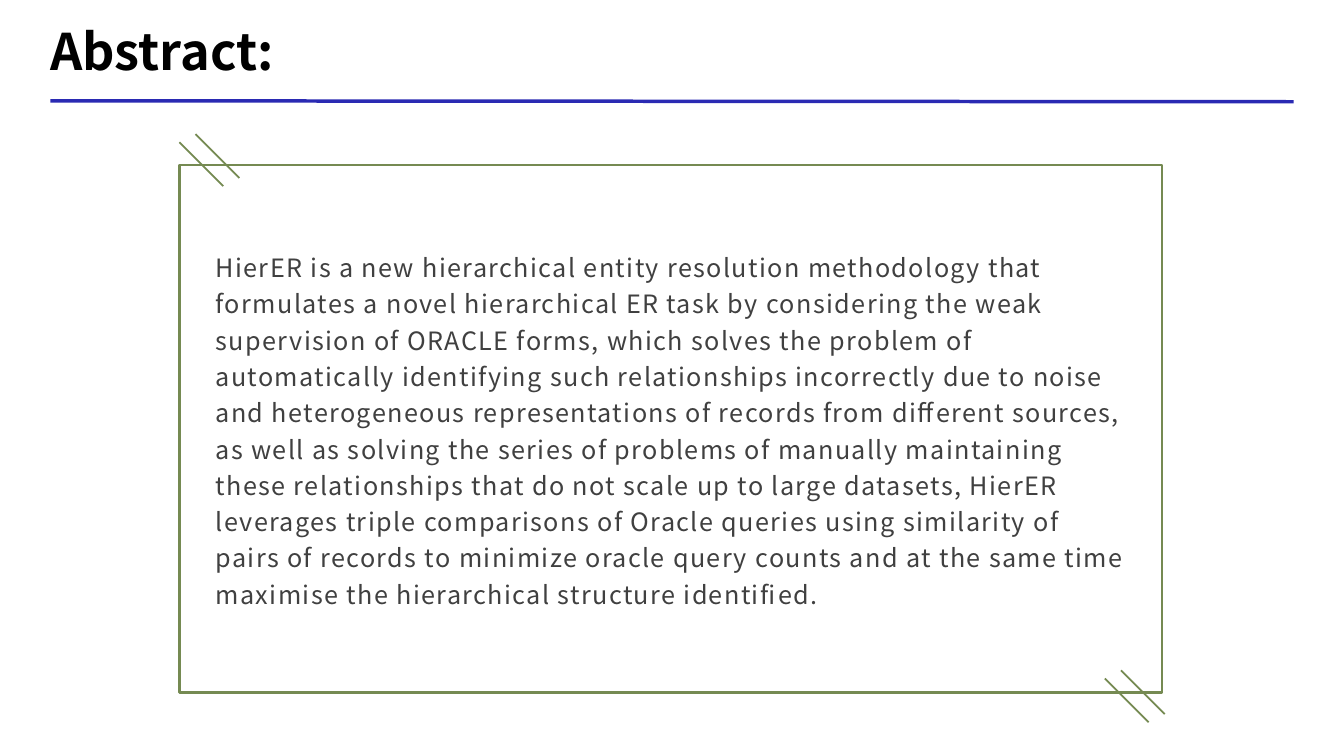
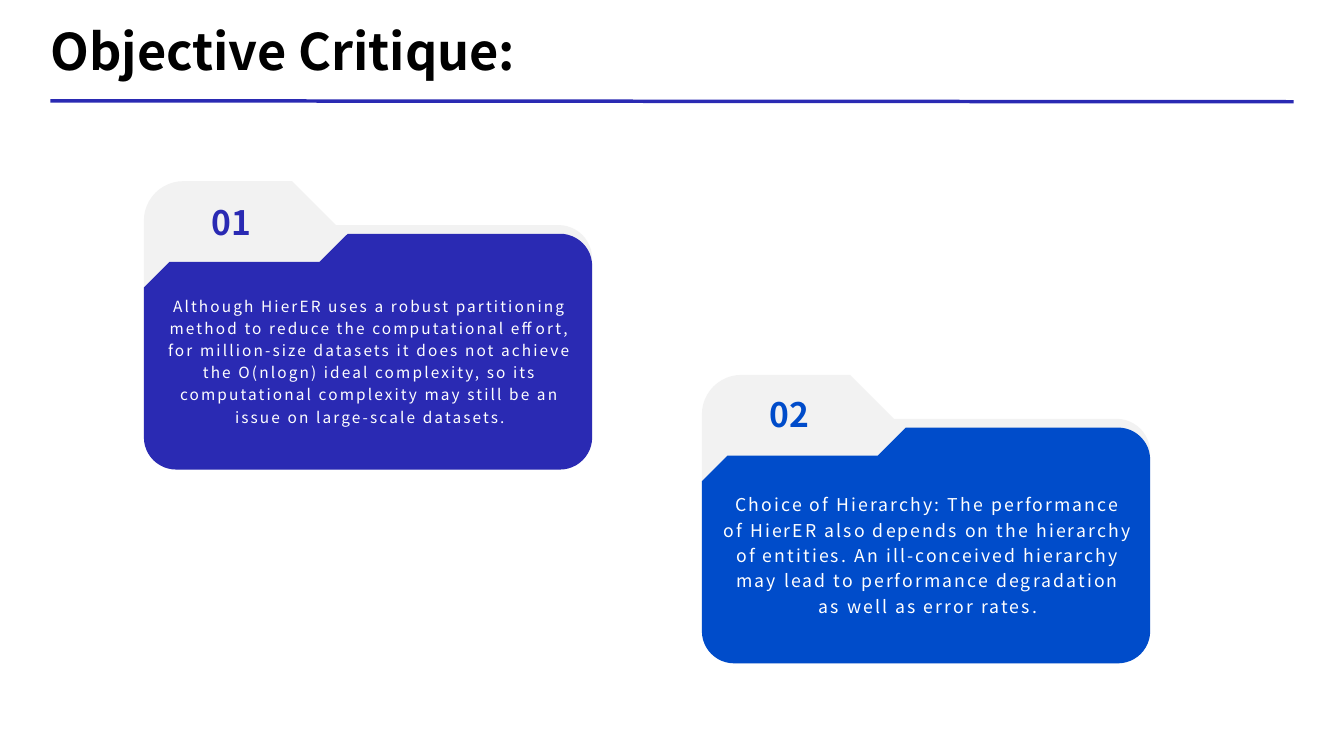
"""Build the abstract and objective critique slides."""
import math
from dataclasses import dataclass

from lxml import etree
from pptx import Presentation
from pptx.dml.color import RGBColor
from pptx.enum.shapes import MSO_CONNECTOR, MSO_SHAPE
from pptx.enum.text import MSO_ANCHOR, PP_ALIGN
from pptx.oxml.ns import qn
from pptx.util import Pt

STRAIGHT = MSO_CONNECTOR.STRAIGHT
RECTANGLE = MSO_SHAPE.RECTANGLE
MIDDLE = MSO_ANCHOR.MIDDLE
LEFT, CENTER = PP_ALIGN.LEFT, PP_ALIGN.CENTER


@dataclass(frozen=True)
class Theme:
    """Colours, font and type sizes shared by the slides."""
    font: str = "Noto Sans CJK SC"
    indigo: str = "2A2AB3"
    blue: str = "004CCA"
    olive: str = "758A52"
    folder: str = "F2F2F2"
    black: str = "000000"
    body: str = "404040"
    white: str = "FFFFFF"
    title_size: float = 36
    number_size: float = 24
    abstract_size: float = 18


@dataclass(frozen=True)
class Box:
    """A rectangle in points."""
    left: float
    top: float
    width: float
    height: float

    def inner(self, left, top, width, height):
        """Return a box placed relative to this one."""
        return Box(self.left + left, self.top + top, width, height)

    def lengths(self):
        """Return the four lengths for a shape call."""
        return Pt(self.left), Pt(self.top), Pt(self.width), Pt(self.height)


@dataclass(frozen=True)
class Card:
    """Content of one folder card."""
    number: str
    text: str
    color: str
    size: float
    left: float
    top: float
    number_drop: float = 0


THEME = Theme()
TITLE_BOX = Box(36, 12.2, 888, 48.2)
FRAME_BOX = Box(128.2, 118.1, 702, 376.6)
CARD_WIDTH, CARD_HEIGHT = 320.2, 206
SLASH, SLASH_GAP, SLASH_DROP = 31.3, 11.5, 5.8

ABSTRACT = (
    "HierER is a new hierarchical entity resolution methodology that formulates a novel "
    "hierarchical ER task by considering the weak supervision of ORACLE forms, which solves "
    "the problem of automatically identifying such relationships incorrectly due to noise and "
    "heterogeneous representations of records from different sources, as well as solving the "
    "series of problems of manually maintaining these relationships that do not scale up to "
    "large datasets, HierER leverages triple comparisons of Oracle queries using similarity of "
    "pairs of records to minimize oracle query counts and at the same time maximise the "
    "hierarchical structure identified."
)
CARDS = (
    Card("01",
         "Although HierER uses a robust partitioning method to reduce the computational effort, "
         "for million-size datasets it does not achieve the O(nlogn) ideal complexity, so its "
         "computational complexity may still be an issue on large-scale datasets.",
         THEME.indigo, 11, 102.8, 129.4, 1.4),
    Card("02",
         "Choice of Hierarchy: The performance of HierER also depends on the hierarchy of "
         "entities. An ill-conceived hierarchy may lead to performance degradation as well as "
         "error rates.",
         THEME.blue, 12.6, 501.4, 267.8),
)


def add_text(page, box, text, size, color, bold=False, align=LEFT,
             insets=(7.2, 3.6), line_spacing=None, space_after=None, tracking=0):
    """Add a wrapped, vertically centred text box."""
    frame = page.shapes.add_textbox(*box.lengths()).text_frame
    frame.word_wrap = True
    frame.vertical_anchor = MIDDLE
    frame.margin_left = frame.margin_right = Pt(insets[0])
    frame.margin_top = frame.margin_bottom = Pt(insets[1])
    para = frame.paragraphs[0]
    para.alignment = align
    if line_spacing:
        para.line_spacing = line_spacing
    if space_after:
        para.space_after = Pt(space_after)
    span = para.add_run()
    span.text = text
    span.font.name = THEME.font
    span.font.size = Pt(size)
    span.font.bold = bold
    span.font.color.rgb = RGBColor.from_string(color)
    if tracking:
        span._r.get_or_add_rPr().set("spc", str(round(tracking * 100)))


def add_line(page, start, end, color, width):
    """Add a straight line without a shadow."""
    line = page.shapes.add_connector(STRAIGHT, *map(Pt, start + end))
    line.line.color.rgb = RGBColor.from_string(color)
    line.line.width = Pt(width)
    etree.SubElement(line.element.spPr, qn("a:effectLst"))


def add_title(page, box, text):
    """Add the slide title and the rule below it."""
    add_text(page, box, text, THEME.title_size, THEME.black, bold=True, insets=(0, 0))
    rule_top = box.top + 59.8
    add_line(page, (box.left, rule_top), (box.left + box.width, rule_top + 0.7),
             THEME.indigo, 2.5)


def add_slashes(page, left, top):
    """Add a pair of parallel diagonal strokes."""
    for x, y in ((left + SLASH_GAP, top), (left, top + SLASH_DROP)):
        add_line(page, (x, y), (x + SLASH, y + SLASH), THEME.olive, 1.25)


def add_abstract(page, box, text):
    """Add the outlined frame with its corner strokes and text."""
    outline = page.shapes.add_shape(RECTANGLE, *box.lengths())
    outline.shadow.inherit = False
    outline.fill.background()
    outline.line.color.rgb = RGBColor.from_string(THEME.olive)
    outline.line.width = Pt(1.5)
    add_slashes(page, box.left, box.top - 22.3)
    add_slashes(page, box.left + box.width - 41, box.top + box.height - 15.9)
    add_text(page, box.inner(20.9, 37.4, 660.2, 300.2), text, THEME.abstract_size,
             THEME.body, insets=(5, 2.2), line_spacing=1.2, space_after=8, tracking=1)


def round_corners(corners, steps=12):
    """Turn (x, y, radius) right-angle corners into outline points."""
    points = []
    for index, (x, y, radius) in enumerate(corners):
        if not radius:
            points.append((x, y))
            continue
        before = corners[index - 1]
        after = corners[(index + 1) % len(corners)]
        reach_in = math.dist(before[:2], (x, y))
        reach_out = math.dist(after[:2], (x, y))
        in_x, in_y = (x - before[0]) / reach_in, (y - before[1]) / reach_in
        out_x, out_y = (after[0] - x) / reach_out, (after[1] - y) / reach_out
        for step in range(steps + 1):
            angle = math.pi / 2 * step / steps
            back, ahead = 1 - math.sin(angle), 1 - math.cos(angle)
            points.append((x + radius * (out_x * ahead - in_x * back),
                           y + radius * (out_y * ahead - in_y * back)))
    return points


def add_outline(page, box, corners, color):
    """Add a filled outline with corners relative to the box."""
    points = [(Pt(box.left + x), Pt(box.top + y)) for x, y in round_corners(corners)]
    builder = page.shapes.build_freeform(*points[0])
    builder.add_line_segments(points[1:], close=True)
    shape = builder.convert_to_shape()
    shape.shadow.inherit = False
    shape.fill.solid()
    shape.fill.fore_color.rgb = RGBColor.from_string(color)
    shape.line.fill.background()


def add_card(page, box, card):
    """Add one numbered folder card."""
    right, bottom = box.width, box.height
    add_outline(page, box, (
        (0, 0, 28.2), (105.8, 0, 0), (137.2, 31.4, 0),
        (right, 31.4, 24), (right, bottom, 24), (0, bottom, 24),
    ), THEME.folder)
    add_outline(page, box, (
        (145.6, 37.6, 0), (right, 37.6, 23), (right, bottom, 23),
        (0, bottom, 23), (0, 76, 0), (18.4, 57.6, 0), (125.6, 57.6, 0),
    ), card.color)
    add_text(page, box.inner(8, 68.4, 307, 118), card.text, card.size, THEME.white,
             align=CENTER, line_spacing=1.2, tracking=1.5)
    add_text(page, box.inner(0, card.number_drop, 125.3, 55.4), card.number,
             THEME.number_size, card.color, bold=True, align=CENTER)


def add_page(deck, title):
    """Add a blank slide with the shared title."""
    page = deck.slides.add_slide(deck.slide_layouts[6])
    add_title(page, TITLE_BOX, title)
    return page


def main():
    """Build and save the deck."""
    deck = Presentation()
    deck.slide_width, deck.slide_height = Pt(960), Pt(540)
    add_abstract(add_page(deck, "Abstract:"), FRAME_BOX, ABSTRACT)
    critique = add_page(deck, "Objective Critique:")
    for card in CARDS:
        add_card(critique, Box(card.left, card.top, CARD_WIDTH, CARD_HEIGHT), card)
    deck.save("out.pptx")


if __name__ == "__main__":
    main()
